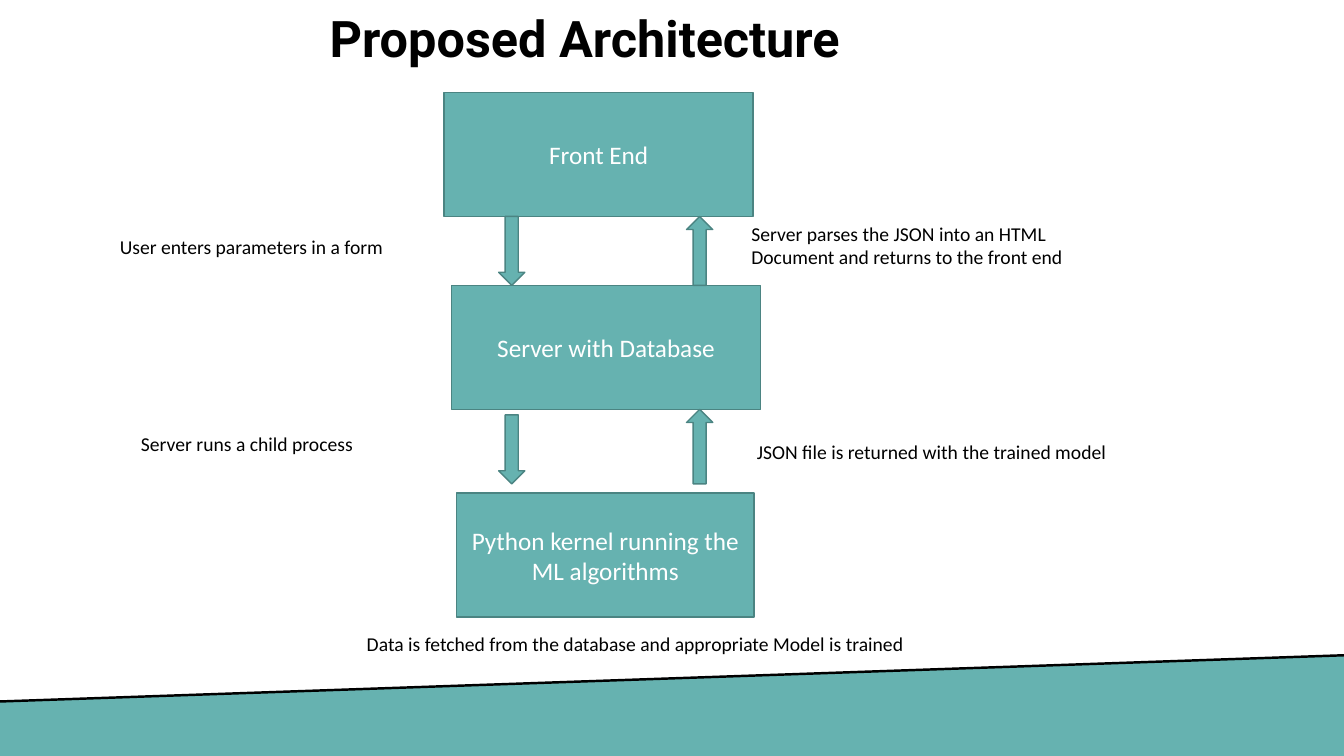
from dataclasses import dataclass

from lxml.etree import SubElement
from pptx import Presentation
from pptx.dml.color import RGBColor
from pptx.enum.shapes import MSO_CONNECTOR as Connector, MSO_SHAPE as Shape
from pptx.enum.text import MSO_ANCHOR as Anchor, PP_ALIGN as Align
from pptx.oxml.ns import qn
from pptx.util import Pt


@dataclass(frozen=True)
class Theme:
    teal: RGBColor = RGBColor(0x66, 0xB2, 0xB0)
    outline: RGBColor = RGBColor(0x4B, 0x84, 0x82)
    black: RGBColor = RGBColor(0, 0, 0)
    white: RGBColor = RGBColor(255, 255, 255)
    title_size: int = 36
    box_size: int = 18
    note_size: int = 14


theme = Theme()


def write(shape, text, size=theme.note_size, color=theme.black, font="Calibri",
          bold=False, align=Align.LEFT, anchor=Anchor.TOP):
    frame = shape.text_frame
    frame.word_wrap = True
    frame.vertical_anchor = anchor
    paragraph = frame.paragraphs[0]
    paragraph.alignment = align
    run = paragraph.add_run()
    run.text = text
    run.font.size = Pt(size)
    run.font.name = font
    run.font.bold = bold
    run.font.color.rgb = color


def add_teal_shape(kind, left, top, width, height):
    shape = slide.shapes.add_shape(kind, Pt(left), Pt(top), Pt(width), Pt(height))
    shape.shadow.inherit = False
    shape.fill.solid()
    shape.fill.fore_color.rgb = theme.teal
    shape.line.color.rgb = theme.outline
    shape.line.width = Pt(1)
    return shape


deck = Presentation()
deck.slide_width, deck.slide_height = Pt(960), Pt(540)
slide = deck.slides.add_slide(deck.slide_layouts[5])

# Slanted footer band with its black edge
edge_left, edge_right = (Pt(-0.7), Pt(501.1)), (Pt(961.2), Pt(468))
outline = slide.shapes.build_freeform(*edge_left)
outline.add_line_segments([edge_right, (Pt(961.2), Pt(540)), (Pt(0), Pt(542))])
band = outline.convert_to_shape()
band.shadow.inherit = False
band.fill.solid()
band.fill.fore_color.rgb = theme.teal
band.line.fill.background()

edge = slide.shapes.add_connector(Connector.STRAIGHT, *edge_right, *edge_left)
edge.line.color.rgb = theme.black
edge.line.width = Pt(1.75)
SubElement(edge._element.spPr, qn("a:effectLst"))

# Title
title = slide.shapes.title
title.left, title.top, title.width, title.height = Pt(228.3), Pt(1.4), Pt(481), Pt(51)
write(title, "Proposed Architecture", size=theme.title_size, font="Roboto", bold=True)

# Architecture tiers
for tier, left, top, width in [
    ("Front End", 317.3, 66.1, 220.7),
    ("Server with Database", 322.6, 203.9, 220.7),
    ("Python kernel running the ML algorithms", 326.2, 352.3, 212.4),
]:
    box = add_teal_shape(Shape.RECTANGLE, left, top, width, 88.5)
    write(box, tier, size=theme.box_size, color=theme.white,
          align=Align.CENTER, anchor=Anchor.MIDDLE)

# Requests go down on the left, responses go up on the right
for left, top, height, rotation in [
    (356.2, 154.6, 49.2, 0),
    (356.2, 296.4, 49.2, 0),
    (490.4, 154.6, 49.2, 180),
    (490.4, 292.4, 53.2, 180),
]:
    arrow = add_teal_shape(Shape.DOWN_ARROW, left, top, 18.7, height)
    arrow.rotation = rotation

# Notes beside each step
for note, left, top, width, height in [
    ("Server parses the JSON into an HTML Document and returns to the front end",
     529.6, 154.8, 275, 41),
    ("User enters parameters in a form", 78.5, 164.2, 247, 24.2),
    ("JSON file is returned with the trained model", 533.5, 311, 420, 24.2),
    ("Server runs a child process", 93.6, 305.3, 220, 24.2),
    ("Data is fetched from the database and appropriate Model is trained",
     254.9, 447.8, 508.3, 24.2),
]:
    write(slide.shapes.add_textbox(Pt(left), Pt(top), Pt(width), Pt(height)), note)

deck.save("out.pptx")
